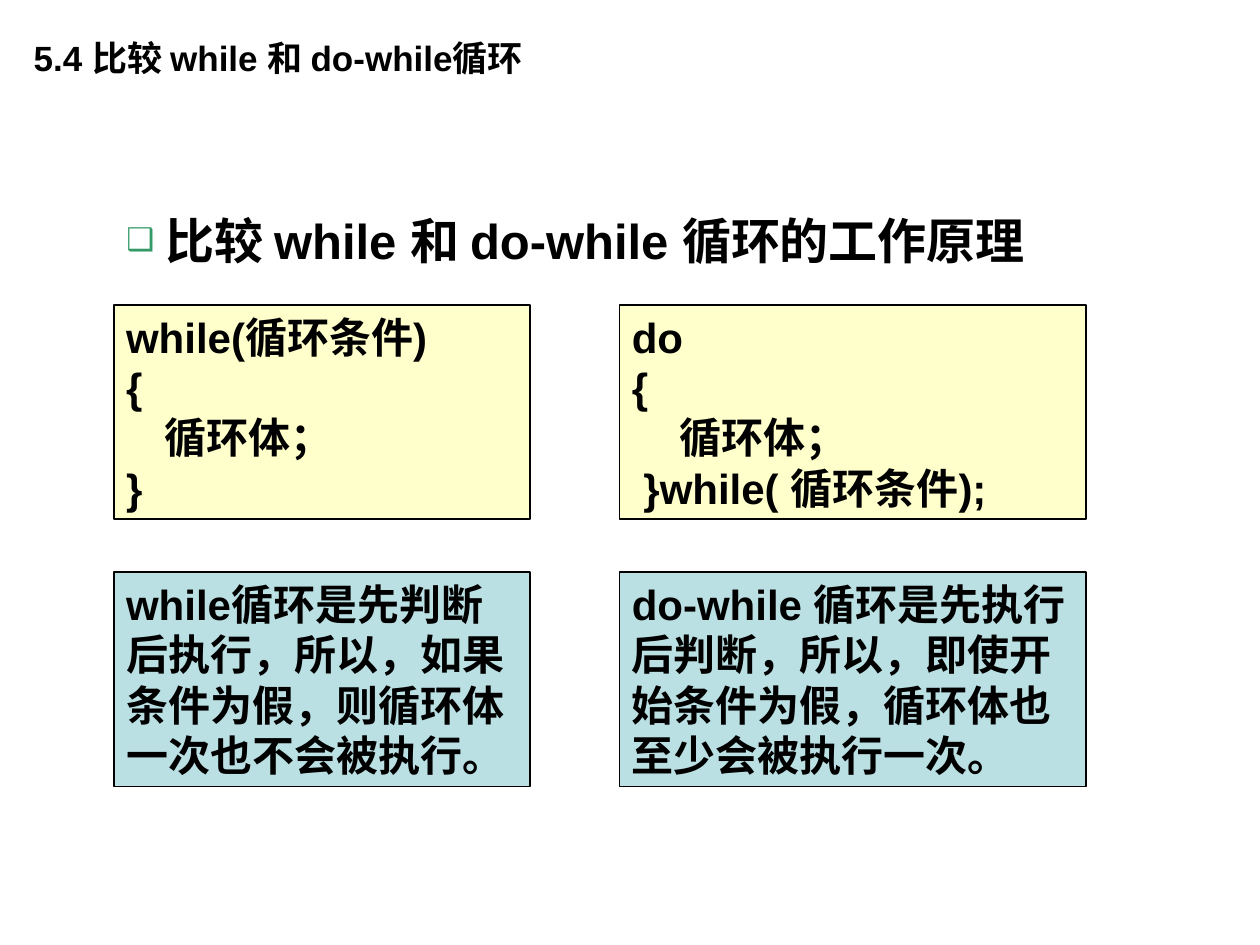
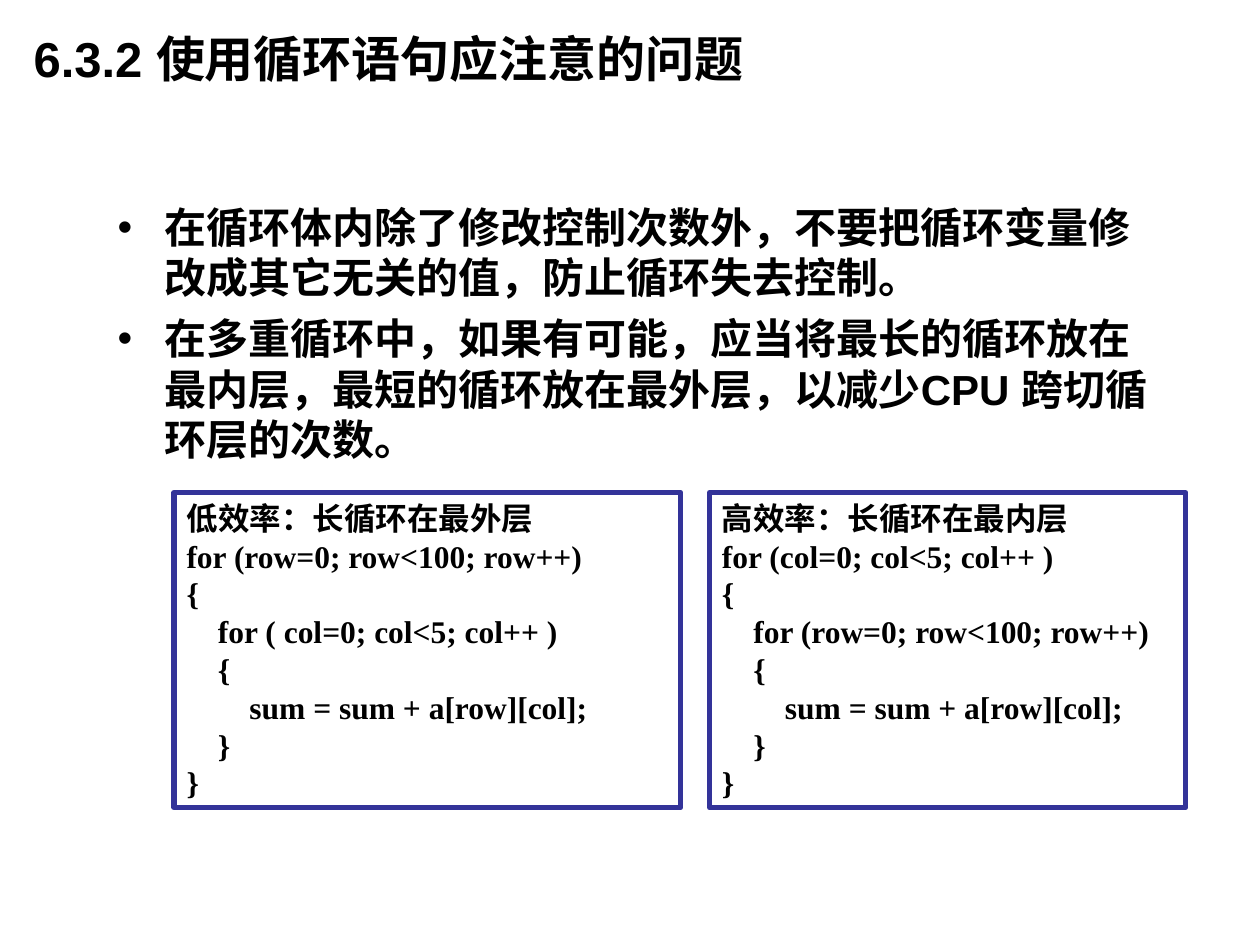
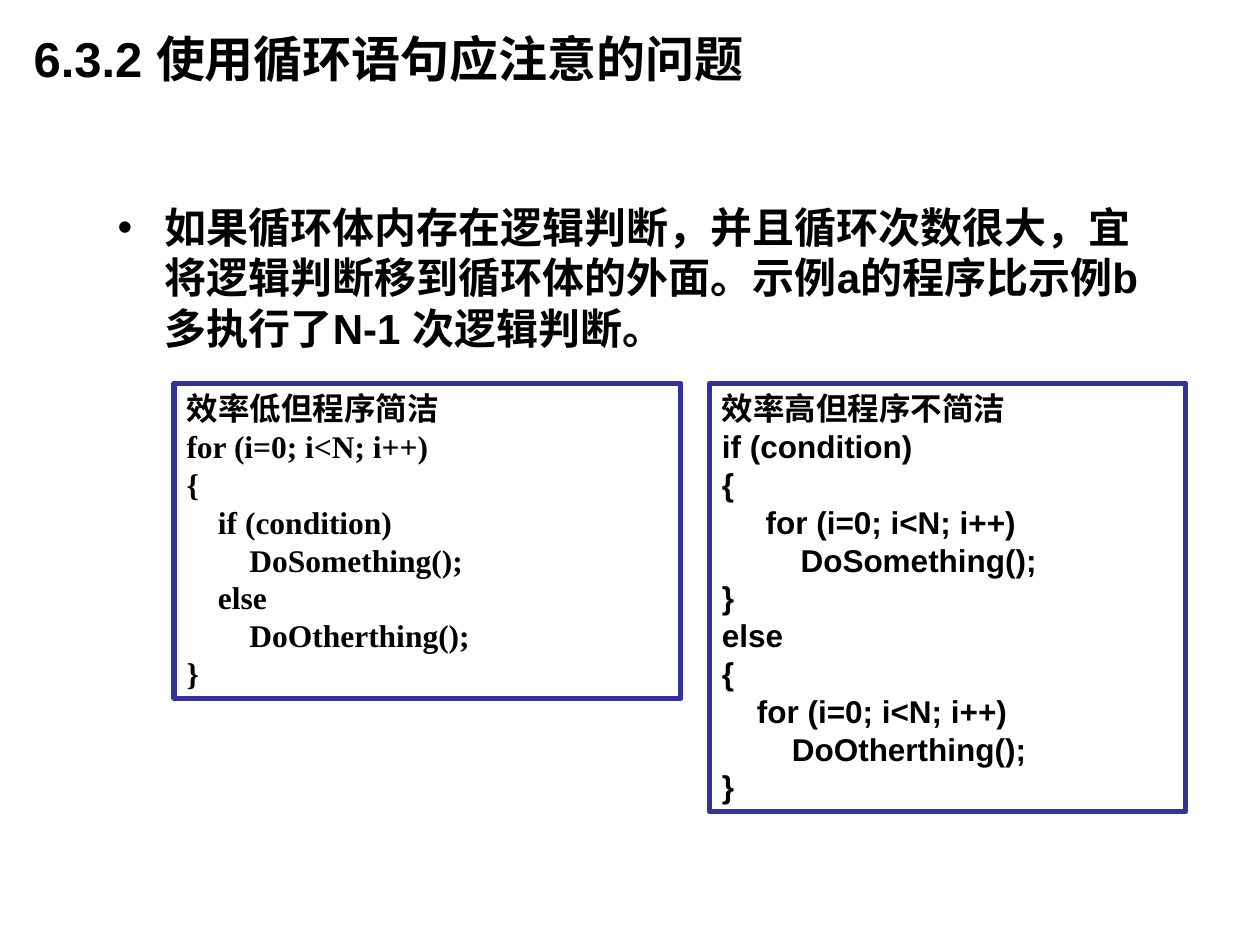
from lxml.etree import SubElement
from pptx import Presentation
from pptx.dml.color import RGBColor
from pptx.enum.shapes import MSO_SHAPE
from pptx.enum.text import MSO_ANCHOR as Anchor, MSO_AUTO_SIZE as AutoSize, PP_ALIGN as Align
from pptx.oxml.ns import qn
from pptx.util import Pt

BLACK = RGBColor(0x00, 0x00, 0x00)
WHITE = RGBColor(0xFF, 0xFF, 0xFF)
YELLOW = RGBColor(0xFF, 0xFF, 0xCC)
TEAL = RGBColor(0xBB, 0xE0, 0xE3)
NAVY = RGBColor(0x33, 0x33, 0x99)
GREEN = RGBColor(0x33, 0x99, 0x66)

SANS, SERIF = "Arial", "Times New Roman"

# Shared styles and places, in points
DOT = dict(char="•", color=BLACK, scale=100, indent=27, size=24, before=6)
SQUARE = dict(char="❑", color=GREEN, scale=64, indent=22.2, size=28, before=0)
TITLE_AT = (12, 0, 540, 66)
LIST_AT = (60, 111.5, 612.5, 348)
HEADING_AT = (65, 116.5, 590, 41)
COMPARE = dict(columns=[(65, 238), (354, 266.5)], line=BLACK, weight=1, size=24)
EFFICIENCY = dict(columns=[(99.5, 289.5), (405.5, 272)], line=NAVY, weight=3, size=18)

# Content: each row of boxes has one text (and font) per column
SLIDES = [
    dict(
        title="5.4 比较 while 和 do-while循环", title_size=20,
        items=["比较 while 和 do-while 循环的工作原理"], bullet=SQUARE, items_at=HEADING_AT,
        boxes=COMPARE,
        rows=[
            dict(top=174.2, fill=YELLOW, anchor=Anchor.MIDDLE, cells=[
                (SANS, 122.5, """while(循环条件)
{
    循环体；
}"""),
                (SANS, 122.5, """do
{
     循环体；
 }while( 循环条件);"""),
            ]),
            dict(top=327, fill=TEAL, anchor=Anchor.TOP, cells=[
                (SANS, 122.5, "while循环是先判断后执行，所以，如果条件为假，则循环体一次也不会被执行。"),
                (SANS, 122.5, "do-while 循环是先执行后判断，所以，即使开始条件为假，循环体也至少会被执行一次。"),
            ]),
        ],
    ),
    dict(
        title="6.3.2 使用循环语句应注意的问题", title_size=28,
        items=[
            "在循环体内除了修改控制次数外，不要把循环变量修改成其它无关的值，防止循环失去控制。",
            "在多重循环中，如果有可能，应当将最长的循环放在最内层，最短的循环放在最外层，以减少CPU 跨切循环层的次数。",
        ], bullet=DOT, items_at=LIST_AT,
        boxes=EFFICIENCY,
        rows=[
            dict(top=281.5, fill=WHITE, anchor=Anchor.TOP, cells=[
                (SERIF, 180, """低效率：长循环在最外层
for (row=0; row<100; row++)
{
    for ( col=0; col<5; col++ )
    {
        sum = sum + a[row][col];
    }
}"""),
                (SERIF, 180, """高效率：长循环在最内层
for (col=0; col<5; col++ )
{
    for (row=0; row<100; row++)
    {
        sum = sum + a[row][col];
    }
}"""),
            ]),
        ],
    ),
    dict(
        title="6.3.2 使用循环语句应注意的问题", title_size=28,
        items=["如果循环体内存在逻辑判断，并且循环次数很大，宜将逻辑判断移到循环体的外面。"
               "示例a的程序比示例b多执行了N-1 次逻辑判断。"],
        bullet=DOT, items_at=LIST_AT,
        boxes=EFFICIENCY,
        rows=[
            dict(top=219, fill=WHITE, anchor=Anchor.TOP, cells=[
                (SERIF, 180, """效率低但程序简洁
for (i=0; i<N; i++)
{
    if (condition)
        DoSomething();
    else
        DoOtherthing();
}"""),
                (SANS, 244.8, """效率高但程序不简洁
if (condition)
{
     for (i=0; i<N; i++)
         DoSomething();
}
else
{
    for (i=0; i<N; i++)
        DoOtherthing();
}"""),
            ]),
        ],
    ),
]


def place(sp, left, top, width, height):
    sp.left, sp.top, sp.width, sp.height = Pt(left), Pt(top), Pt(width), Pt(height)


def write(sp, text, size, font=SANS, anchor=Anchor.TOP):
    tf = sp.text_frame
    tf.text = text
    tf.word_wrap = True
    tf.auto_size = AutoSize.NONE
    tf.vertical_anchor = anchor
    for p in tf.paragraphs:
        p.alignment = Align.LEFT
        p.space_before = Pt(0)
        for r in p.runs:
            r.font.name, r.font.size, r.font.bold = font, Pt(size), True
            r.font.color.rgb = BLACK
    return tf


def add_bullet(p, bullet):
    pPr = p._p.get_or_add_pPr()
    pPr.set("marL", str(Pt(bullet["indent"])))
    pPr.set("indent", str(-Pt(bullet["indent"])))
    color = SubElement(pPr, qn("a:buClr"))
    SubElement(color, qn("a:srgbClr"), val=str(bullet["color"]))
    SubElement(pPr, qn("a:buSzPct"), val=str(bullet["scale"] * 1000))
    SubElement(pPr, qn("a:buFont"), typeface=SANS)
    SubElement(pPr, qn("a:buChar"), char=bullet["char"])


def add_list(sp, items, bullet):
    tf = write(sp, "\n".join(items), bullet["size"])
    for i, p in enumerate(tf.paragraphs):
        if i:
            p.space_before = Pt(bullet["before"])
        add_bullet(p, bullet)


def add_box(s, at, fill, style):
    sp = s.shapes.add_shape(MSO_SHAPE.RECTANGLE, *map(Pt, at))
    sp.shadow.inherit = False
    sp.fill.solid()
    sp.fill.fore_color.rgb = fill
    sp.line.color.rgb = style["line"]
    sp.line.width = Pt(style["weight"])
    return sp


def build_slide(prs, content):
    s = prs.slides.add_slide(prs.slide_layouts[1])
    # Title and list
    title, body = s.placeholders
    place(title, *TITLE_AT)
    write(title, content["title"], content["title_size"], anchor=Anchor.MIDDLE)
    place(body, *content["items_at"])
    add_list(body, content["items"], content["bullet"])
    # Rows of boxes
    style = content["boxes"]
    for row in content["rows"]:
        for (left, width), (font, height, text) in zip(style["columns"], row["cells"]):
            sp = add_box(s, (left, row["top"], width, height), row["fill"], style)
            write(sp, text, style["size"], font, row["anchor"])


def main():
    prs = Presentation()
    prs.slide_width, prs.slide_height = Pt(720), Pt(540)
    for content in SLIDES:
        build_slide(prs, content)
    prs.save("out.pptx")


if __name__ == "__main__":
    main()
